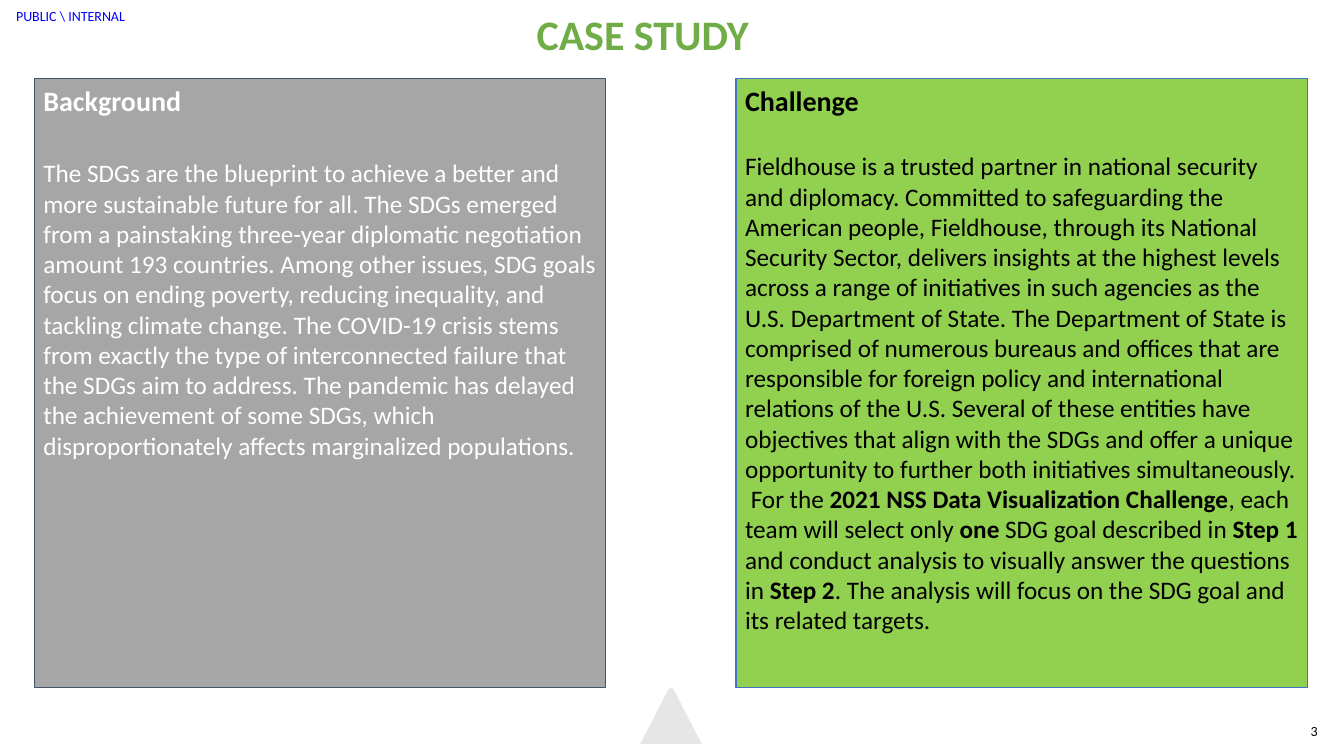
from pptx import Presentation
from pptx.dml.color import RGBColor
from pptx.enum.shapes import MSO_SHAPE
from pptx.enum.text import MSO_ANCHOR, MSO_AUTO_SIZE, PP_ALIGN
from pptx.util import Inches, Pt

FONT = "Calibri"
PANEL_TOP, PANEL_WIDTH, PANEL_HEIGHT = 0.78, 5.67, 6.04

BACKGROUND = [
    ("The SDGs are the blueprint to achieve a better and more sustainable future for all. "
     "The SDGs emerged from a painstaking three-year diplomatic negotiation amount 193 "
     "countries. Among other issues, SDG goals focus on ending poverty, reducing inequality, "
     "and tackling climate change. The COVID-19 crisis stems from exactly the type of "
     "interconnected failure that the SDGs aim to address. The pandemic has delayed the "
     "achievement of some SDGs, which disproportionately affects marginalized populations.",
     False),
]
CHALLENGE = [
    ("Fieldhouse is a trusted partner in national security and diplomacy. Committed to "
     "safeguarding the American people, Fieldhouse, through its National Security Sector, "
     "delivers insights at the highest levels across a range of initiatives in such agencies "
     "as the U.S. Department of State. The Department of State is comprised of numerous "
     "bureaus and offices that are responsible for foreign policy and international relations "
     "of the U.S. Several of these entities have objectives that align with the SDGs and offer "
     "a unique opportunity to further both initiatives simultaneously.  For the ", False),
    ("2021 NSS Data Visualization Challenge", True),
    (", each team will select only ", False),
    ("one", True),
    (" SDG goal described in ", False),
    ("Step 1", True),
    (" and conduct analysis to visually answer the questions in ", False),
    ("Step 2", True),
    (". The analysis will focus on the SDG goal and its related targets.", False),
]


def color(hex_string):
    return RGBColor.from_string(hex_string)


def write(paragraph, text, size=18, fill="000000", bold=False, align=PP_ALIGN.LEFT):
    paragraph.alignment = align
    run = paragraph.add_run()
    run.text = text
    run.font.name = FONT
    run.font.size = Pt(size)
    run.font.bold = bold
    run.font.color.rgb = color(fill)


def place(shape, left, top, width, height):
    shape.left, shape.top = Inches(left), Inches(top)
    shape.width, shape.height = Inches(width), Inches(height)


def add_title(slide, left, top, width, height):
    title = slide.shapes.title
    place(title, left, top, width, height)
    frame = title.text_frame
    frame.auto_size = MSO_AUTO_SIZE.NONE
    frame.vertical_anchor = MSO_ANCHOR.TOP
    write(frame.paragraphs[0], "CASE STUDY", size=30, fill="70AD47", bold=True,
          align=PP_ALIGN.CENTER)


def add_label(slide, left, top, width, height, text, **text_format):
    frame = slide.shapes.add_textbox(Inches(left), Inches(top), Inches(width),
                                     Inches(height)).text_frame
    frame.margin_left = frame.margin_right = frame.margin_top = frame.margin_bottom = 0
    frame.vertical_anchor = MSO_ANCHOR.MIDDLE
    frame.word_wrap = True
    write(frame.paragraphs[0], text, size=10, **text_format)


def add_panel(slide, left, heading, body, fill, line, text_color, gap):
    panel = slide.shapes.add_shape(MSO_SHAPE.RECTANGLE, Inches(left), Inches(PANEL_TOP),
                                   Inches(PANEL_WIDTH), Inches(PANEL_HEIGHT))
    panel.shadow.inherit = False
    panel.fill.solid()
    panel.fill.fore_color.rgb = color(fill)
    panel.line.color.rgb = color(line)
    panel.line.width = Pt(0.75)

    frame = panel.text_frame
    frame.word_wrap = True
    frame.vertical_anchor = MSO_ANCHOR.TOP
    frame.margin_left = frame.margin_right = Inches(0.09)
    frame.margin_top = frame.margin_bottom = Inches(0.05)
    write(frame.paragraphs[0], heading, size=20, fill=text_color, bold=True)
    paragraph = frame.add_paragraph()
    paragraph.space_before = Pt(gap)
    for text, bold in body:
        write(paragraph, text, fill=text_color, bold=bold)


def add_footer_marker(slide, left, top, width, height):
    middle, half_tip = left + width / 2, 0.02
    builder = slide.shapes.build_freeform(Inches(left), Inches(top + height))
    builder.add_line_segments([
        (Inches(middle - half_tip), Inches(top)),
        (Inches(middle + half_tip), Inches(top)),
        (Inches(left + width), Inches(top + height)),
    ], close=True)
    marker = builder.convert_to_shape()
    marker.shadow.inherit = False
    marker.fill.solid()
    marker.fill.fore_color.rgb = color("E7E6E6")
    marker.line.fill.background()


def main():
    presentation = Presentation()
    presentation.slide_width, presentation.slide_height = Inches(13.33), Inches(7.5)
    slide = presentation.slides.add_slide(presentation.slide_layouts[5])

    # Classification label and title
    add_label(slide, 0.16, 0.06, 1.4, 0.2, "PUBLIC \\ INTERNAL", fill="0000FF")
    add_title(slide, 4.57, 0.03, 3.61, 0.61)

    # Two text panels
    add_panel(slide, 0.34, "Background", BACKGROUND, fill="A6A6A6", line="44546A",
              text_color="FFFFFF", gap=29)
    add_panel(slide, 7.3, "Challenge", CHALLENGE, fill="92D050", line="4472C4",
              text_color="000000", gap=24)

    # Footer
    add_footer_marker(slide, 6.35, 6.83, 0.61, 0.55)
    add_label(slide, 12.91, 7.15, 0.16, 0.2, "3", align=PP_ALIGN.RIGHT)

    presentation.save("out.pptx")


if __name__ == "__main__":
    main()
